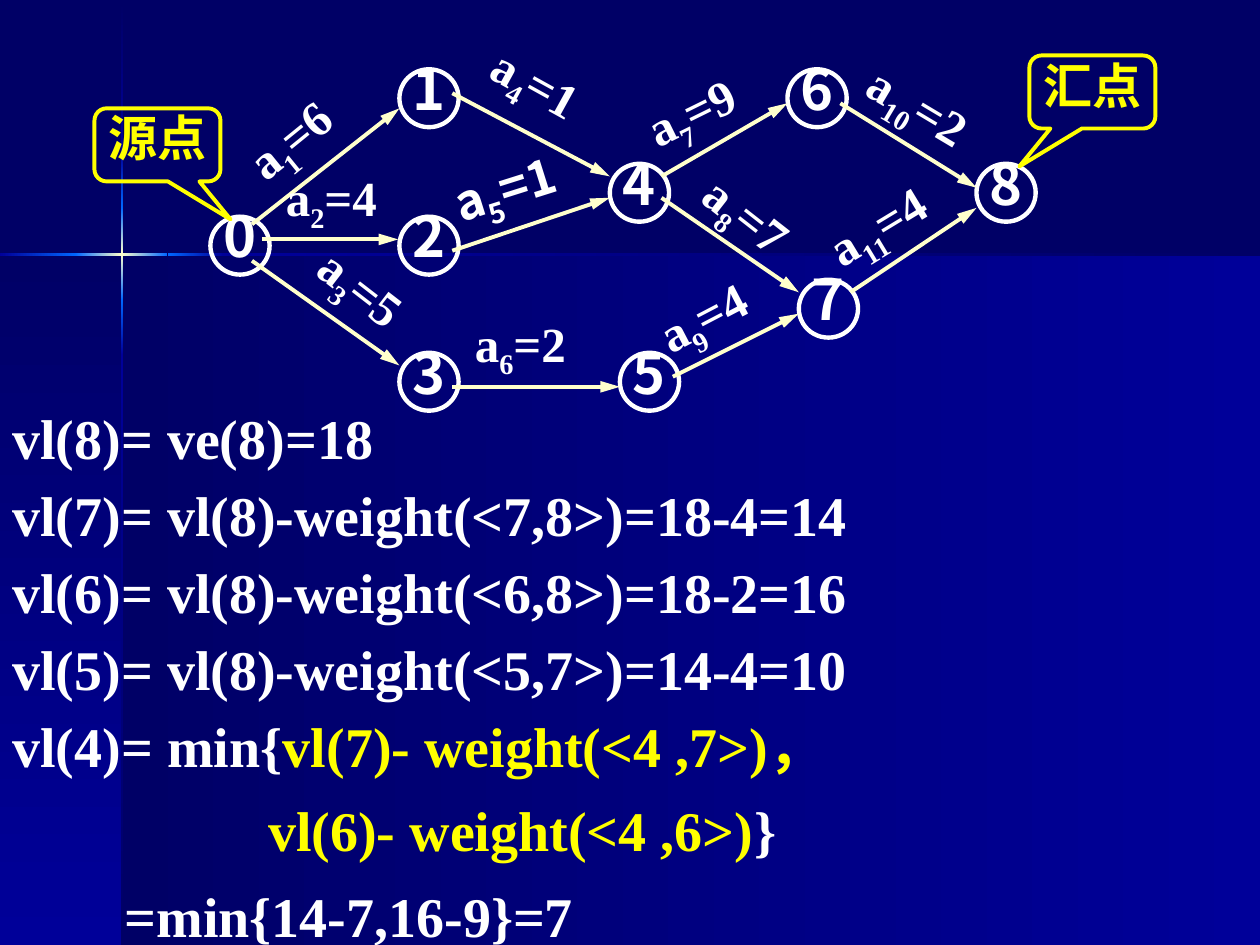
"""Build the activity-network slide with its latest event times."""
from copy import deepcopy
from dataclasses import dataclass

from lxml.etree import SubElement
from pptx import Presentation
from pptx.dml.color import RGBColor
from pptx.enum.shapes import MSO_CONNECTOR, MSO_SHAPE
from pptx.enum.text import MSO_ANCHOR, PP_ALIGN
from pptx.oxml.ns import qn
from pptx.util import Inches, Pt

COLORS = {
    "navy": "000066", "blue": "000099", "glow": "0066FF",
    "cream": "FFFFCC", "white": "FFFFFF", "yellow": "FFFF00",
}
SERIF = "Times New Roman"
SANS = "Noto Sans CJK SC"
ACROSS, DOWN = 0, 270


@dataclass
class Band:
    left: float
    top: float
    width: float
    height: float
    angle: int
    stops: tuple


@dataclass
class Edge:
    number: int
    weight: int
    start: tuple
    end: tuple
    label_at: tuple
    rotation: float = 0
    font: str = SERIF
    label_width: float = 1.42


@dataclass
class Callout:
    text: str
    left: float
    top: float
    tip: float


@dataclass
class Line:
    runs: tuple
    indent: float = 0
    before: float = 0


BANDS = [
    Band(0.97, 2.02, 9.03, 5.48, ACROSS, ("navy", "blue")),
    Band(0, 2.02, 0.97, 5.48, DOWN, ("navy", "blue")),
    Band(0.96, 0.01, 0.02, 1.2, DOWN, ("navy", "blue")),
    Band(0.96, 2.82, 0.02, 4.68, DOWN, ("blue", "navy")),
    Band(1.77, 2.01, 8.23, 0.02, ACROSS, ("blue", "navy")),
    Band(0.96, 2.38, 0.02, 0.44, DOWN, ("glow", "blue")),
    Band(0.96, 1.21, 0.02, 0.44, DOWN, ("blue", "glow")),
    Band(0.96, 1.65, 0.02, 0.73, DOWN, ("glow", "cream", "glow")),
    Band(0, 2.01, 0.61, 0.02, ACROSS, ("blue", "glow")),
    Band(1.33, 2.01, 0.44, 0.02, ACROSS, ("glow", "blue")),
    Band(0.6, 2.01, 0.73, 0.02, ACROSS, ("glow", "cream", "glow")),
]
NODES = [
    (1.67, 1.72), (3.17, 0.55), (3.17, 1.72), (3.17, 2.8), (4.84, 1.3),
    (4.92, 2.8), (6.25, 0.55), (6.34, 2.22), (7.75, 1.3),
]
EDGES = [
    Edge(1, 6, (2, 1.78), (3.17, 0.86), (1.81, 0.74), 320.9, label_width=1.17),
    Edge(2, 4, (2.08, 1.9), (3.16, 1.9), (2.17, 1.28)),
    Edge(3, 5, (2, 2.07), (3.17, 2.9), (2.36, 2.15), 37.7),
    Edge(4, 1, (3.59, 0.74), (4.84, 1.4), (3.77, 0.49), 28.9),
    Edge(5, 1, (3.59, 1.99), (4.84, 1.57), (3.49, 1.15), 342.4, SANS),
    Edge(6, 2, (3.59, 3.07), (4.92, 3.07), (3.67, 2.44)),
    Edge(7, 9, (5.25, 1.4), (6.25, 0.82), (5, 0.49), 333.8),
    Edge(8, 7, (5.25, 1.57), (6.34, 2.32), (5.42, 1.57), 38),
    Edge(9, 4, (5.34, 2.99), (6.34, 2.49), (5.09, 2.11), 332.4),
    Edge(10, 2, (6.67, 0.82), (7.75, 1.49), (6.75, 0.65), 30.9),
    Edge(11, 4, (6.75, 2.32), (7.75, 1.65), (6.42, 1.4), 328.8),
]
CALLOUTS = [Callout("汇点", 8.17, 0.44, -0.58), Callout("源点", 0.75, 0.86, 0.58)]
LINES = [
    Line((("vl(8)= ve(8)=18", "white"),)),
    Line((("vl(7)= vl(8)-weight(<7,8>)=18-4=14", "white"),)),
    Line((("vl(6)= vl(8)-weight(<6,8>)=18-2=16", "white"),)),
    Line((("vl(5)= vl(8)-weight(<5,7>)=14-4=10", "white"),)),
    Line((("vl(4)= min{", "white"), ("vl(7)- weight(<4 ,7>)，", "yellow"))),
    Line((("vl(6)- weight(<4 ,6>)", "yellow"), ("}", "white")), 2.03, 4),
    Line((("=min{14-7,16-9}=7", "white"),), 0.89, 5),
]


def color(name: str) -> RGBColor:
    """Look up a named colour."""
    return RGBColor.from_string(COLORS[name])


def add_run(paragraph, text: str, size: float, font: str, color_name: str):
    """Append a bold run."""
    run = paragraph.add_run()
    run.text = text
    run.font.size, run.font.name, run.font.bold = Pt(size), font, True
    run.font.color.rgb = color(color_name)
    return run


def add_text_box(slide, left: float, top: float, width: float, height: float):
    """Add a wrapping text box."""
    box = slide.shapes.add_textbox(Inches(left), Inches(top), Inches(width), Inches(height))
    box.text_frame.word_wrap = True
    return box


def draw_band(slide, band: Band) -> None:
    """Draw a gradient rectangle of the backdrop."""
    shape = slide.shapes.add_shape(
        MSO_SHAPE.RECTANGLE, Inches(band.left), Inches(band.top),
        Inches(band.width), Inches(band.height))
    shape.shadow.inherit = False
    shape.line.fill.background()
    shape.fill.gradient()
    shape.fill.gradient_angle = band.angle
    stop_list = shape._element.spPr.find(qn("a:gradFill")).find(qn("a:gsLst"))
    for _ in band.stops[2:]:
        stop_list.append(deepcopy(stop_list[-1]))
    for index, name in enumerate(band.stops):
        stop = shape.fill.gradient_stops[index]
        stop.position = index / (len(band.stops) - 1)
        stop.color.rgb = color(name)


def draw_outline(slide, kind, box: tuple, text: str, size: float, line: tuple, lift: float):
    """Draw an unfilled shape with a centred label raised by a bottom inset."""
    shape = slide.shapes.add_shape(kind, *(Inches(value) for value in box))
    shape.shadow.inherit = False
    shape.fill.background()
    shape.line.color.rgb, shape.line.width = color(line[0]), Pt(line[1])
    frame = shape.text_frame
    frame.word_wrap = False
    frame.vertical_anchor = MSO_ANCHOR.MIDDLE
    frame.margin_left = frame.margin_right = frame.margin_top = 0
    frame.margin_bottom = Inches(lift)
    frame.paragraphs[0].alignment = PP_ALIGN.CENTER
    add_run(frame.paragraphs[0], text, size, SANS, line[0])
    return shape


def draw_edge(slide, edge: Edge) -> None:
    """Draw an arrow and its weight label."""
    points = (Inches(value) for value in edge.start + edge.end)
    arrow = slide.shapes.add_connector(MSO_CONNECTOR.STRAIGHT, *points)
    arrow.line.color.rgb, arrow.line.width = color("cream"), Pt(2.25)
    SubElement(arrow.line._get_or_add_ln(), qn("a:tailEnd"), type="triangle", w="med", len="lg")
    SubElement(arrow._element.spPr, qn("a:effectLst"))
    label = add_text_box(slide, *edge.label_at, edge.label_width, 0.57)
    label.rotation = edge.rotation
    paragraph = label.text_frame.paragraphs[0]
    for text in ("a", str(edge.number), f"={edge.weight}"):
        run = add_run(paragraph, text, 28, edge.font, "white")
        if text == str(edge.number):
            run.font._element.set("baseline", "-25000")


def draw_calculation(slide, lines: list) -> None:
    """Write the latest event times line by line."""
    frame = add_text_box(slide, 0, 3.08, 10, 4.34).text_frame
    for index, line in enumerate(lines):
        paragraph = frame.add_paragraph() if index else frame.paragraphs[0]
        paragraph.line_spacing = Pt(44)
        paragraph.space_before = Pt(line.before)
        paragraph._p.get_or_add_pPr().set("marL", str(Inches(line.indent)))
        for text, name in line.runs:
            add_run(paragraph, text, 32, SERIF, name)


def main() -> None:
    """Build and save the presentation."""
    presentation = Presentation()
    presentation.slide_width, presentation.slide_height = Inches(10), Inches(7.5)
    slide = presentation.slides.add_slide(presentation.slide_layouts[6])
    slide.background.fill.solid()
    slide.background.fill.fore_color.rgb = color("navy")
    for band in BANDS:
        draw_band(slide, band)
    draw_calculation(slide, LINES)
    for number, (left, top) in enumerate(NODES):
        draw_outline(slide, MSO_SHAPE.OVAL, (left, top, 0.47, 0.46),
                     str(number), 32, ("white", 2.5), 0.16)
    for edge in EDGES:
        draw_edge(slide, edge)
    for callout in CALLOUTS:
        shape = draw_outline(slide, MSO_SHAPE.ROUNDED_RECTANGULAR_CALLOUT,
                             (callout.left, callout.top, 1, 0.58),
                             callout.text, 28, ("yellow", 2.25), 0.12)
        shape.adjustments[0], shape.adjustments[1] = callout.tip, 1.02
    presentation.save("out.pptx")


if __name__ == "__main__":
    main()
